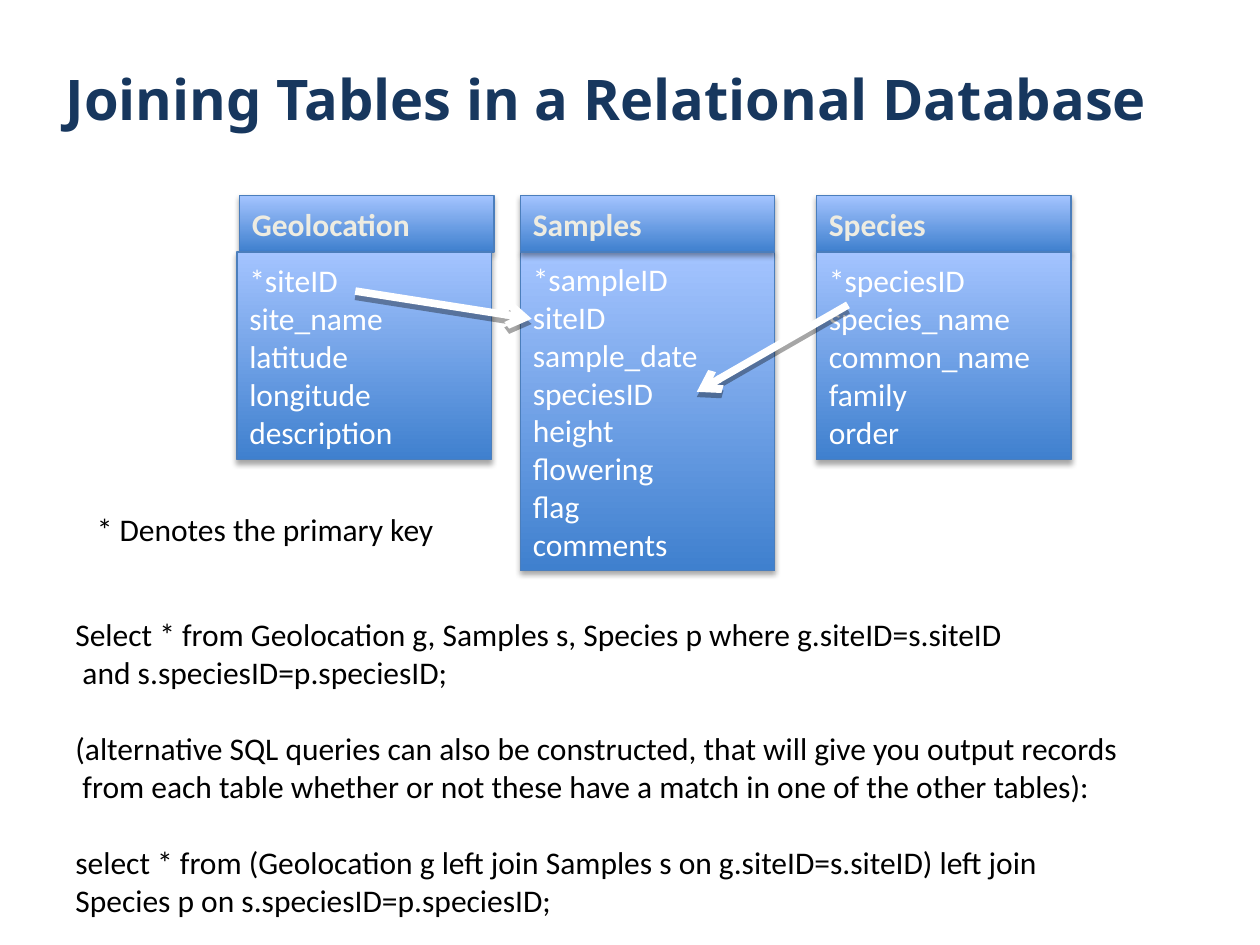
from lxml import etree
from pptx import Presentation
from pptx import util as u
from pptx.dml.color import RGBColor
from pptx.enum import shapes, text
from pptx.oxml.ns import qn

NAVY = RGBColor(0x17, 0x37, 0x5E)
CREAM = RGBColor(0xEE, 0xEC, 0xE1)
WHITE = RGBColor(0xFF, 0xFF, 0xFF)
BLACK = RGBColor(0x00, 0x00, 0x00)
BLUE_DARK = RGBColor(0x3F, 0x80, 0xCE)
BLUE_LIGHT = RGBColor(0xA4, 0xC4, 0xFF)
BLUE_EDGE = RGBColor(0x4B, 0x7E, 0xBC)

TABLE_TOP, TABLE_WIDTH, HEADER_HEIGHT = 1.55, 2.02, 0.45
LINE_GAP = 22  # points, one line of 18 pt text


def write(frame, lines, size=18, font="Calibri", color=BLACK, bold=False,
          anchor=text.MSO_ANCHOR.MIDDLE, wrap=True, gaps=()):
    """Write one paragraph per line; gaps lists the lines with space above."""
    frame.word_wrap = wrap
    frame.vertical_anchor = anchor
    for number, line in enumerate(lines):
        para = frame.paragraphs[0] if number == 0 else frame.add_paragraph()
        para.alignment = text.PP_ALIGN.LEFT
        if number in gaps:
            para.space_before = u.Pt(LINE_GAP)
        run = para.add_run()
        run.text = line
        run.font.size, run.font.name = u.Pt(size), font
        run.font.bold, run.font.color.rgb = bold, color


def add_shadow(shape, blur, distance):
    """Cast a soft black shadow straight down; lengths in points."""
    properties = shape._element.spPr
    for old in properties.findall(qn("a:effectLst")):
        properties.remove(old)
    effects = etree.SubElement(properties, qn("a:effectLst"))
    shadow = etree.SubElement(effects, qn("a:outerShdw"), blurRad=str(u.Pt(blur)),
                              dist=str(u.Pt(distance)), dir="5400000", rotWithShape="0")
    black = etree.SubElement(shadow, qn("a:srgbClr"), val="000000")
    etree.SubElement(black, qn("a:alpha"), val="35000")


def add_panel(slide, left, top, width, height, lines, **style):
    panel = slide.shapes.add_shape(shapes.MSO_SHAPE.RECTANGLE, u.Inches(left),
                                   u.Inches(top), u.Inches(width), u.Inches(height))
    panel.fill.gradient()
    panel.fill.gradient_angle = 90
    for stop, color in zip(panel.fill.gradient_stops, (BLUE_DARK, BLUE_LIGHT)):
        stop.color.rgb = color
    panel.line.color.rgb = BLUE_EDGE
    panel.line.width = u.Pt(0.75)
    add_shadow(panel, 3.1, 1.8)
    write(panel.text_frame, lines, **style)


def add_db_table(slide, left, top, name, fields, body_height, body_shift=0,
                 header_in_front=False):
    """Header panel with the list of fields below it."""
    header = dict(left=left, top=top, height=HEADER_HEIGHT, lines=[name],
                  color=CREAM, bold=True)
    body = dict(left=left + body_shift, top=top + HEADER_HEIGHT,
                height=body_height, lines=fields, color=WHITE)
    for part in ((body, header) if header_in_front else (header, body)):
        add_panel(slide, width=TABLE_WIDTH, **part)


def add_key_arrow(slide, start, end):
    arrow = slide.shapes.add_connector(shapes.MSO_CONNECTOR.STRAIGHT,
                                       *(u.Inches(v) for v in (*start, *end)))
    arrow.line.color.rgb = WHITE
    arrow.line.width = u.Pt(4.33)
    etree.SubElement(arrow.line._get_or_add_ln(), qn("a:tailEnd"), type="arrow")
    add_shadow(arrow, 0, 3)


def add_note(slide, left, top, width, height, lines, gaps=()):
    note = slide.shapes.add_textbox(u.Inches(left), u.Inches(top),
                                    u.Inches(width), u.Inches(height))
    write(note.text_frame, lines, anchor=text.MSO_ANCHOR.TOP, wrap=False, gaps=gaps)


def add_title(slide, left, top, width, height, wording):
    title = slide.shapes.title
    title.left, title.top = u.Inches(left), u.Inches(top)
    title.width, title.height = u.Inches(width), u.Inches(height)
    write(title.text_frame, [wording], size=32, font="Noto Sans", color=NAVY, bold=True)


deck = Presentation()
deck.slide_width, deck.slide_height = u.Inches(10), u.Inches(7.5)
join_slide = deck.slides.add_slide(deck.slide_layouts[5])

add_title(join_slide, 0.42, 0.47, 9.33, 0.62, "Joining Tables in a Relational Database")

# Database tables
add_db_table(join_slide, 1.9, TABLE_TOP, "Geolocation",
             ["*siteID", "site_name", "latitude", "longitude", "description"],
             1.65, body_shift=-0.02)
add_db_table(join_slide, 6.48, TABLE_TOP, "Species",
             ["*speciesID", "species_name", "common_name", "family", "order"], 1.65)
add_db_table(join_slide, 4.13, TABLE_TOP, "Samples",
             ["*sampleID", "siteID", "sample_date", "speciesID", "height",
              "flowering", "flag", "comments"], 2.53, header_in_front=True)

# Key relations
add_key_arrow(join_slide, (2.82, 2.31), (4.22, 2.53))
add_key_arrow(join_slide, (6.73, 2.42), (5.53, 3.11))

# Legend and queries
add_note(join_slide, 0.67, 4, 3.11, 0.4, ["* Denotes the primary key"])
add_note(join_slide, 0.5, 4.83, 8.59, 2.83, [
    "Select * from Geolocation g, Samples s, Species p where g.siteID=s.siteID",
    " and s.speciesID=p.speciesID;",
    "(alternative SQL queries can also be constructed, that will give you output records",
    " from each table whether or not these have a match in one of the other tables):",
    "select * from (Geolocation g left join Samples s on g.siteID=s.siteID) left join",
    "Species p on s.speciesID=p.speciesID;",
], gaps=(2, 4))

deck.save("out.pptx")
